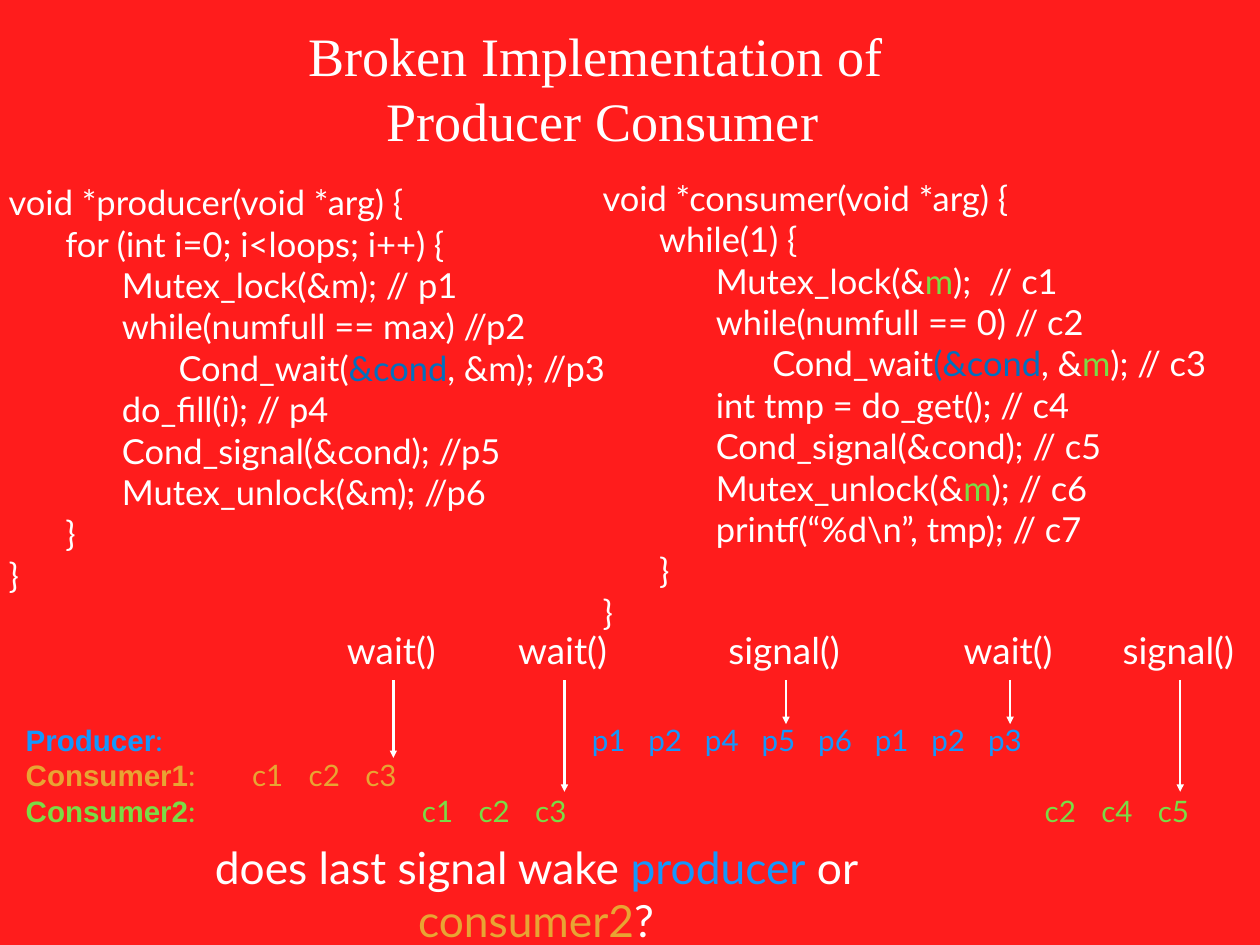
from dataclasses import dataclass

import lxml.etree
import pptx
import pptx.dml.color
import pptx.enum.shapes
import pptx.enum.text
import pptx.oxml
import pptx.oxml.ns
import pptx.util

WIDTH = pptx.util.Inches(14.22)
HEIGHT = pptx.util.Inches(10.67)
TAB_STEP = pptx.util.Pt(46)
TAB_COUNT = 20


@dataclass(frozen=True)
class Theme:
    background: str = "FF1C1C"
    text: str = "FFFFFF"
    cond: str = "0070C0"
    producer: str = "1497FC"
    consumer1: str = "E8A433"
    consumer2: str = "7BDB45"
    title_font: str = "Times New Roman"
    body_font: str = "Lato"
    label_font: str = "Arial"
    title_size: int = 44
    question_size: int = 36
    call_size: int = 30
    code_size: int = 28
    schedule_size: int = 24
    arrow_width: int = 2
    inset: float = 0.06


THEME = Theme()

PRODUCER_CODE = [
    ["void *producer(void *arg) {"],
    ["\tfor (int i=0; i<loops; i++) {"],
    ["\t\tMutex_lock(&m); // p1"],
    ["\t\twhile(numfull == max) //p2"],
    ["\t\t\tCond_wait(", ("&cond", THEME.cond), ", &m); //p3"],
    ["\t\tdo_fill(i); // p4"],
    ["\t\tCond_signal(&cond); //p5"],
    ["\t\tMutex_unlock(&m); //p6"],
    ["\t}"],
    ["}"],
]
MUTEX = ("m", THEME.consumer2)
CONSUMER_CODE = [
    ["void *consumer(void *arg) {"],
    ["\twhile(1) {"],
    ["\t\tMutex_lock(&", MUTEX, ");  // c1"],
    ["\t\twhile(numfull == 0) // c2"],
    ["\t\t\tCond_wait", ("(&cond", THEME.cond), ", &", MUTEX, "); // c3"],
    ["\t\tint tmp = do_get(); // c4"],
    ["\t\tCond_signal(&cond); // c5"],
    ["\t\tMutex_unlock(&", MUTEX, "); // c6"],
    ["\t\tprintf(“%d\\n”, tmp); // c7"],
    ["\t}"],
    ["}"],
]
SCHEDULE = [
    ("Producer", THEME.producer, 8, "p1 p2 p4 p5 p6 p1 p2 p3", 0, ""),
    ("Consumer1", THEME.consumer1, 1, "c1 c2 c3", 0, ""),
    ("Consumer2", THEME.consumer2, 4, "c1 c2 c3", 9, "c2 c4 c5"),
]
CALLS = [
    ("wait()", 31.22, 1),
    ("wait()", 44.8, 2),
    ("signal()", 62.38, 0),
    ("wait()", 80.17, 0),
    ("signal()", 93.67, 2),
]


def percent_box(left, top, width, height):
    return (int(WIDTH * left / 100), int(HEIGHT * top / 100),
            int(WIDTH * width / 100), int(HEIGHT * height / 100))


def rgb(color):
    return pptx.dml.color.RGBColor.from_string(color)


def format_font(font, size, color=THEME.text, name=THEME.body_font):
    font.size = pptx.util.Pt(size)
    font.name = name
    font.color.rgb = rgb(color)


def add_text_frame(s, box, inset=None, wrap=True, anchor=pptx.enum.text.MSO_ANCHOR.TOP):
    tf = s.shapes.add_textbox(*box).text_frame
    tf.word_wrap = wrap
    tf.vertical_anchor = anchor
    if inset is not None:
        tf.margin_left = tf.margin_top = tf.margin_right = tf.margin_bottom = pptx.util.Inches(inset)
    return tf


def add_paragraph(tf, index):
    return tf.add_paragraph() if index else tf.paragraphs[0]


def add_tabs(p):
    tabs = lxml.etree.SubElement(p._p.get_or_add_pPr(), pptx.oxml.ns.qn("a:tabLst"))
    for i in range(1, TAB_COUNT + 1):
        lxml.etree.SubElement(tabs, pptx.oxml.ns.qn("a:tab"), pos=str(TAB_STEP * i), algn="l")


def add_runs(p, parts):
    for part in parts:
        text, color = (part, None) if isinstance(part, str) else part
        r = p.add_run()
        r.text = text
        if color:
            r.font.color.rgb = rgb(color)


def add_title(s, box):
    sp = s.shapes.title
    sp.left, sp.top, sp.width, sp.height = box
    tf = sp.text_frame
    tf.auto_size = pptx.enum.text.MSO_AUTO_SIZE.NONE
    tf.vertical_anchor = pptx.enum.text.MSO_ANCHOR.MIDDLE
    p = tf.paragraphs[0]
    p.text = "Broken Implementation of \vProducer Consumer"
    p.alignment = pptx.enum.text.PP_ALIGN.CENTER
    format_font(p.font, THEME.title_size, name=THEME.title_font)


def add_code(s, box, lines, inset=None):
    tf = add_text_frame(s, box, inset)
    for i, parts in enumerate(lines):
        p = add_paragraph(tf, i)
        add_tabs(p)
        format_font(p.font, THEME.code_size)
        add_runs(p, parts)


def add_schedule(s, box):
    tf = add_text_frame(s, box, 0)
    for i, (thread, color, start, steps, gap, later_steps) in enumerate(SCHEDULE):
        p = add_paragraph(tf, i)
        add_tabs(p)
        format_font(p.font, THEME.schedule_size, color)
        r = p.add_run()
        r.text = thread
        r.font.name = THEME.label_font
        r.font.bold = True
        r = p.add_run()
        r.text = (":" + "\t" * start + "\t".join(steps.split())
                  + "\t" * gap + "\t".join(later_steps.split()))


def add_centred_line(s, box, parts, size, wrap):
    tf = add_text_frame(s, box, THEME.inset, wrap, pptx.enum.text.MSO_ANCHOR.MIDDLE)
    p = tf.paragraphs[0]
    p.alignment = pptx.enum.text.PP_ALIGN.CENTER
    format_font(p.font, size)
    add_runs(p, parts)


def add_arrow(s, x, top, bottom):
    line = s.shapes.add_connector(pptx.enum.shapes.MSO_CONNECTOR.STRAIGHT, x, top, x, bottom)
    line.line.color.rgb = rgb(THEME.text)
    line.line.width = pptx.util.Pt(THEME.arrow_width)
    lxml.etree.SubElement(line.line._get_or_add_ln(), pptx.oxml.ns.qn("a:tailEnd"), type="triangle")
    lxml.etree.SubElement(line._element.spPr, pptx.oxml.ns.qn("a:effectLst"))


def add_calls(s, box):
    left, top, width, height = box
    label_width = int(width * 0.1)
    for call, position, row in CALLS:
        x = left + int(width * position / 100)
        label_left = x - label_width // 2 - int(width * 0.15 / 100)
        add_centred_line(s, (label_left, top, label_width, int(height * 0.32)),
                         [call], THEME.call_size, False)
        add_arrow(s, x, top + int(height * 0.34), top + int(height * (0.6 + 0.2 * row)))


def add_question(s, box):
    parts = ["does last signal wake ", ("producer", THEME.producer), " or ",
             ("consumer2", THEME.consumer1), "?"]
    add_centred_line(s, box, parts, THEME.question_size, True)


def main():
    prs = pptx.Presentation()
    prs.slide_width, prs.slide_height = WIDTH, HEIGHT
    s = prs.slides.add_slide(prs.slide_layouts[5])
    s.background.fill.solid()
    s.background.fill.fore_color.rgb = rgb(THEME.background)
    add_title(s, percent_box(6.54, 1.87, 82.56, 14.81))
    add_code(s, percent_box(47.82, 18.74, 51.05, 51.27), CONSUMER_CODE, 0)
    add_code(s, percent_box(0, 18.74, 51.41, 45.08), PRODUCER_CODE)
    add_schedule(s, percent_box(2.04, 76.38, 94.87, 14.81))
    add_calls(s, percent_box(0, 65.89, 100, 17.9))
    add_question(s, percent_box(15.96, 91.19, 53.16, 6.75))
    prs.save("out.pptx")


if __name__ == "__main__":
    main()
